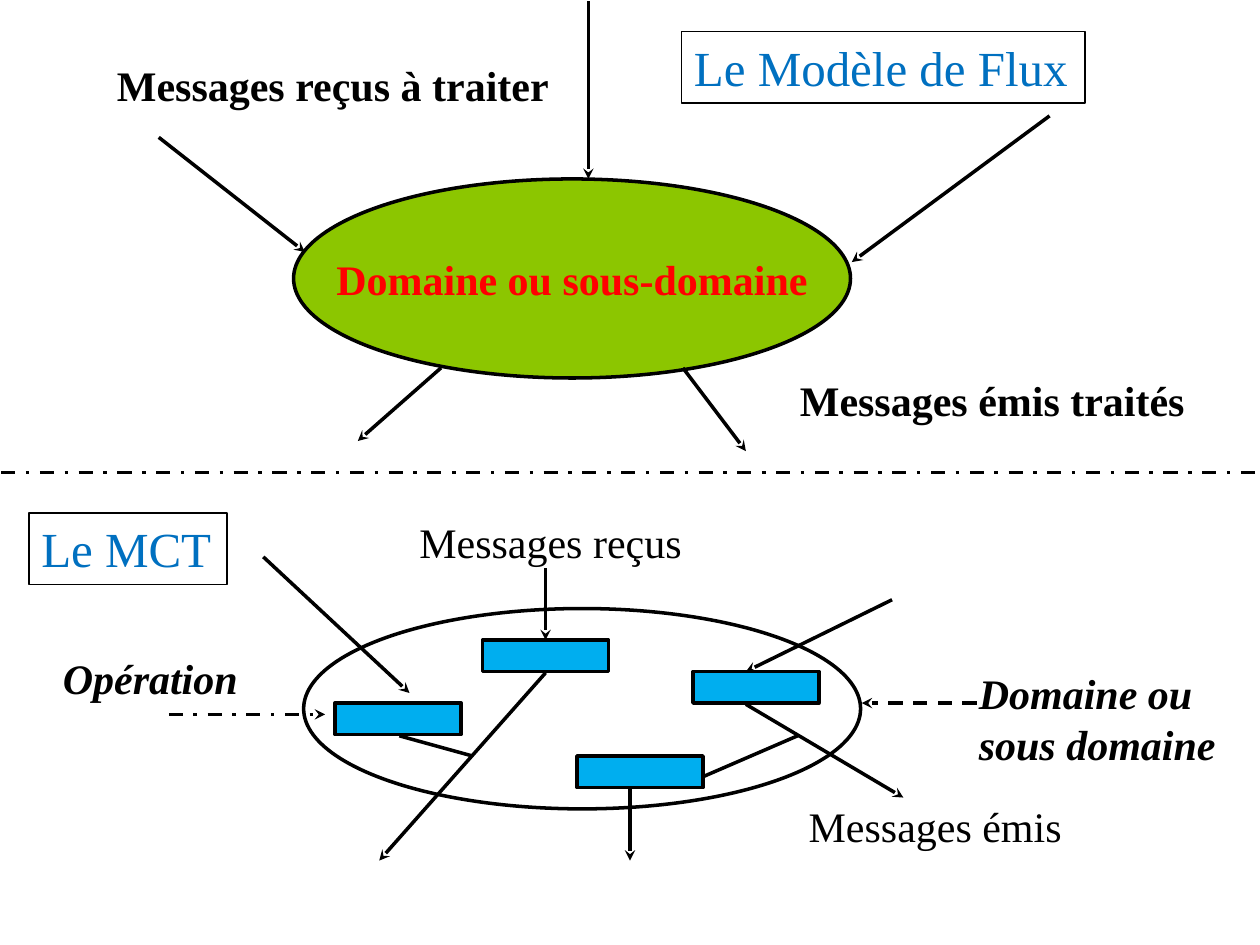
"""Build the flow model and MCT diagram slide."""
from lxml import etree
from pptx import Presentation
from pptx.dml.color import RGBColor
from pptx.enum import dml, shapes, text
from pptx.oxml import ns
from pptx.util import Inches, Pt

BLACK, RED, BLUE = "000000", "FF0000", "0070C0"
GREEN, CYAN = "8CC600", "00AEEF"
OVAL, BOX = shapes.MSO_SHAPE.OVAL, shapes.MSO_SHAPE.RECTANGLE
DASH, DASH_DOT = dml.MSO_LINE.DASH, dml.MSO_LINE.DASH_DOT


def color(value):
    return RGBColor.from_string(value)


def write(shape, lines, size=24, ink=BLACK, bold=False, italic=False):
    frame = shape.text_frame
    frame.word_wrap = False
    frame.text = "\n".join(lines)
    for paragraph in frame.paragraphs:
        font = paragraph.font
        font.name, font.size = "Times New Roman", Pt(size)
        font.bold, font.italic = bold, italic
        font.color.rgb = color(ink)


presentation = Presentation()
presentation.slide_width, presentation.slide_height = Inches(10), Inches(7.5)
slide = presentation.slides.add_slide(presentation.slide_layouts[6])

outlines = [
    (OVAL, 2.33, 1.42, 4.42, 1.58, GREEN),
    (OVAL, 2.41, 4.83, 4.42, 1.59, None),
]
operations = [(2.66, 5.58), (3.83, 5.08), (4.58, 6), (5.5, 5.33)]
outlines += [(BOX, left, top, 1, 0.25, CYAN) for left, top in operations]
drawn = []
for kind, left, top, width, height, fill in outlines:
    shape = slide.shapes.add_shape(
        kind, Inches(left), Inches(top), Inches(width), Inches(height))
    shape.shadow.inherit = False
    if fill:
        shape.fill.solid()
        shape.fill.fore_color.rgb = color(fill)
    else:
        shape.fill.background()
    shape.line.color.rgb = color(BLACK)
    shape.line.width = Pt(2)
    drawn.append(shape)

domain = drawn[0]
write(domain, ["Domaine ou sous-domaine"], ink=RED, bold=True)
domain.text_frame.vertical_anchor = text.MSO_ANCHOR.MIDDLE
domain.text_frame.paragraphs[0].alignment = text.PP_ALIGN.CENTER

lines = [
    (1.26, 1.09, 2.42, 2, True, None),
    (4.67, 0.01, 4.67, 1.42, True, None),
    (8.33, 0.92, 6.76, 2.08, True, None),
    (5.42, 2.92, 5.92, 3.58, True, None),
    (3.5, 2.92, 2.84, 3.5, True, None),
    (4.33, 4.51, 4.33, 5.08, True, None),
    (7.08, 4.76, 5.92, 5.33, True, None),
    (5.92, 5.59, 7.17, 6.33, True, None),
    (5.59, 6.16, 6.33, 5.84, False, None),
    (4.33, 5.34, 3.01, 6.83, True, None),
    (3.17, 5.84, 3.75, 6, False, None),
    (5, 6.26, 5, 6.83, True, None),
    (1.34, 5.67, 2.58, 5.67, True, DASH_DOT),
    (7.75, 5.58, 6.84, 5.58, True, DASH),
    (2.09, 4.42, 3.25, 5.5, True, None),
    (0.01, 3.75, 10, 3.75, False, DASH_DOT),
]
for start_x, start_y, end_x, end_y, arrow, dash in lines:
    connector = slide.shapes.add_connector(
        shapes.MSO_CONNECTOR.STRAIGHT,
        Inches(start_x), Inches(start_y), Inches(end_x), Inches(end_y))
    connector.line.color.rgb = color(BLACK)
    connector.line.width = Pt(2)
    if dash:
        connector.line.dash_style = dash
    if arrow:
        outline = connector.line._get_or_add_ln()
        etree.SubElement(outline, ns.qn("a:tailEnd"), type="stealth")
    etree.SubElement(connector._element.spPr, ns.qn("a:effectLst"))

labels = [
    (0.83, 0.42, 3.66, 0.51, ["Messages reçus à traiter"], True, False),
    (6.25, 2.92, 3.29, 0.51, ["Messages émis traités"], True, False),
    (7.67, 5.25, 2.1, 0.91, ["Domaine ou", "sous domaine"], True, True),
    (0.4, 5.13, 1.61, 0.51, ["Opération"], True, True),
    (3.23, 4.05, 2.31, 0.51, ["Messages reçus"], False, False),
    (6.32, 6.3, 2.23, 0.51, ["Messages émis"], False, False),
]
for left, top, width, height, words, bold, italic in labels:
    label = slide.shapes.add_textbox(
        Inches(left), Inches(top), Inches(width), Inches(height))
    write(label, words, bold=bold, italic=italic)

headings = [
    (5.41, 0.25, 3.2, "Le Modèle de Flux"),
    (0.23, 4.07, 1.57, "Le MCT"),
]
for left, top, width, words in headings:
    heading = slide.shapes.add_textbox(
        Inches(left), Inches(top), Inches(width), Inches(0.57))
    write(heading, [words], size=28, ink=BLUE)
    heading.line.color.rgb = color(BLACK)
    heading.line.width = Pt(1)

presentation.save("out.pptx")
